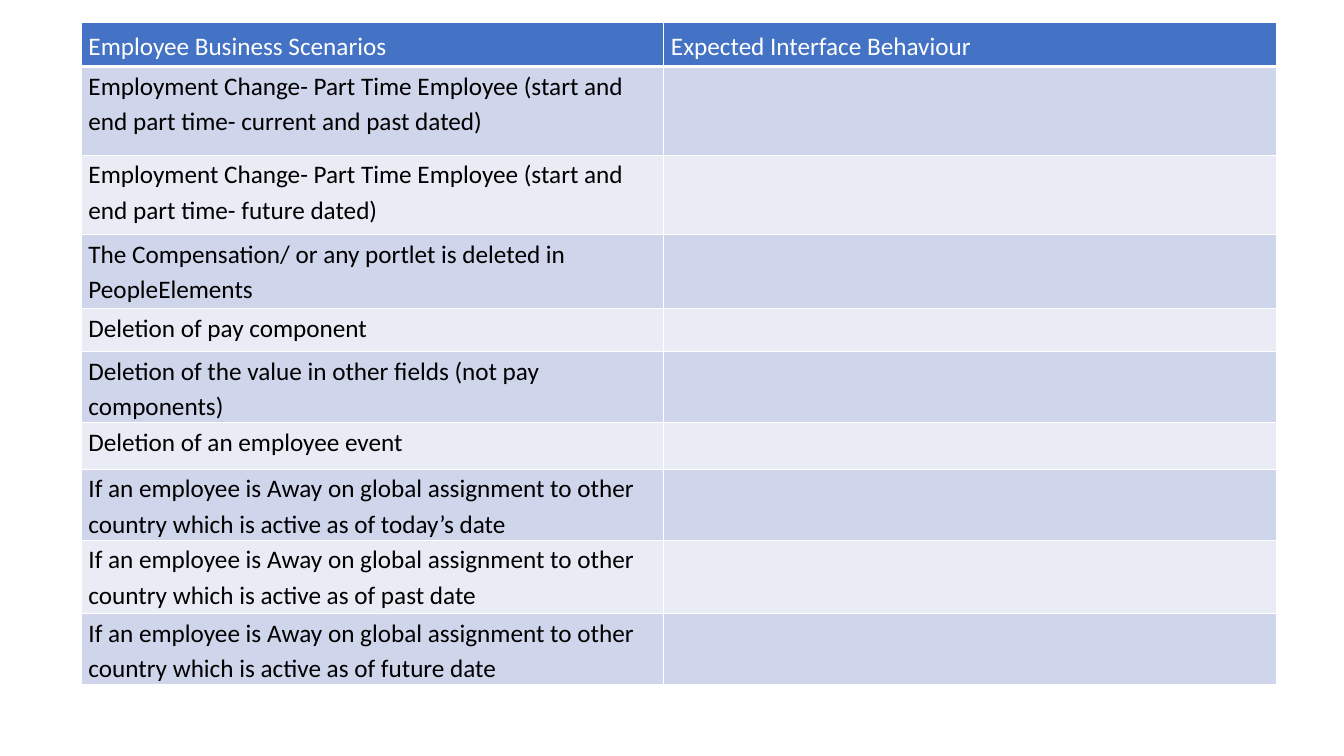
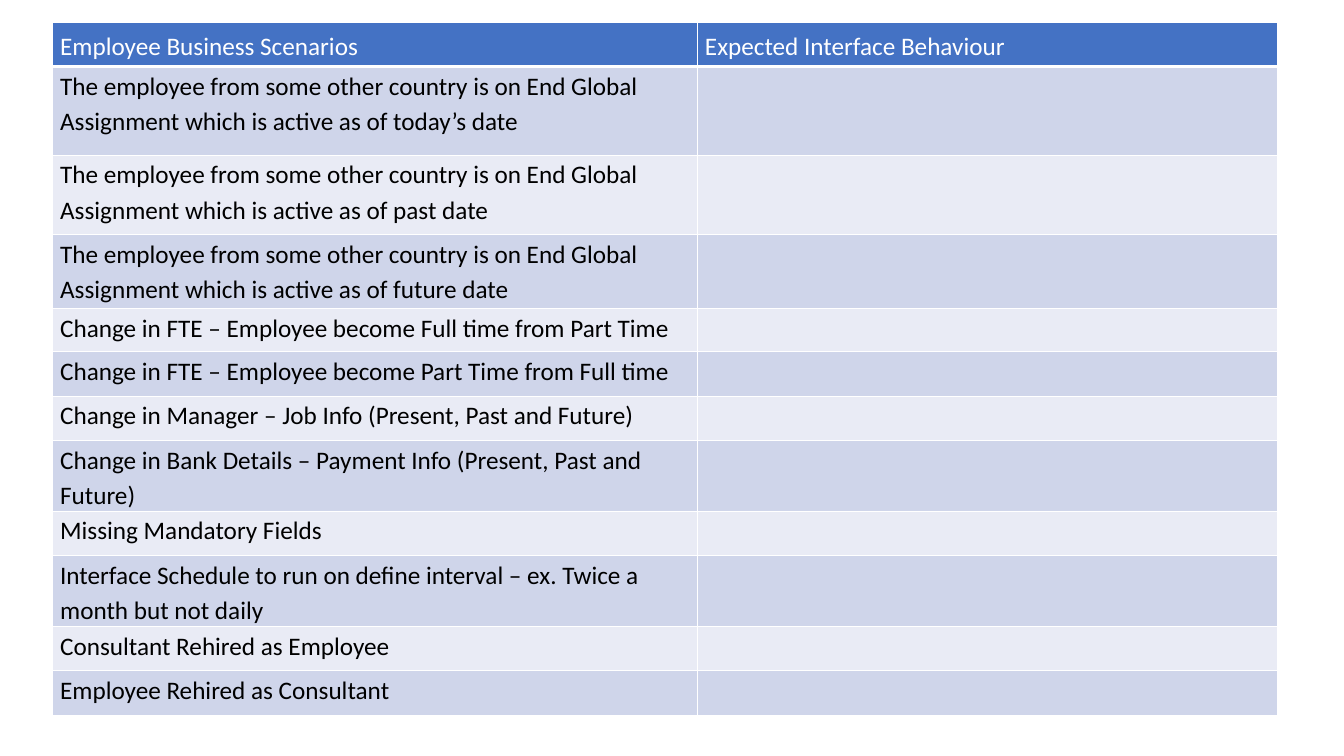
import pptx
import pptx.dml.color
import pptx.enum.text
import pptx.oxml
import pptx.oxml.ns
import pptx.util
from lxml import etree

Pt = pptx.util.Pt
RGBColor = pptx.dml.color.RGBColor

# Shared style
FONT = "Calibri"
TEXT_SIZE = Pt(18)
WHITE = RGBColor(0xFF, 0xFF, 0xFF)
BLACK = RGBColor(0x00, 0x00, 0x00)
HEADER_BLUE = RGBColor(0x44, 0x72, 0xC4)
BANDS = (RGBColor(0xCF, 0xD5, 0xEA), RGBColor(0xE9, 0xEB, 0xF5))
HEADINGS = ("Employee Business Scenarios", "Expected Interface Behaviour")
TABLE_TOP = 15.8

# Row heights in points
HEADER_HEIGHT = 31.7
ONE_LINE = 31.7
TWO_LINES = 50.5
OPENING_HEIGHTS = (63.4, 56.9, 52.6, 31)  # first four scenarios of each table

# Scenarios; those after the fourth carry their own row height
CHANGES_AND_DELETIONS = [
    "Employment Change- Part Time Employee (start and end part time- current and past dated)",
    "Employment Change- Part Time Employee (start and end part time- future dated)",
    "The Compensation/ or any portlet is deleted in PeopleElements",
    "Deletion of pay component",
    ("Deletion of the value in other fields (not pay components)", TWO_LINES),
    ("Deletion of an employee event", 33.4),
    ("If an employee is Away on global assignment to other country "
     "which is active as of today’s date", TWO_LINES),
    ("If an employee is Away on global assignment to other country "
     "which is active as of past date", 52.6),
    ("If an employee is Away on global assignment to other country "
     "which is active as of future date", TWO_LINES),
]
ASSIGNMENTS_AND_REHIRES = [
    "The employee from some other country is on End Global Assignment "
    "which is active as of today’s date",
    "The employee from some other country is on End Global Assignment "
    "which is active as of past date",
    "The employee from some other country is on End Global Assignment "
    "which is active as of future date",
    "Change in FTE – Employee become Full time from Part Time",
    ("Change in FTE – Employee become Part Time from Full time", ONE_LINE),
    ("Change in Manager – Job Info (Present, Past and Future)", ONE_LINE),
    ("Change in Bank Details – Payment Info (Present, Past and Future)", TWO_LINES),
    ("Missing Mandatory Fields", ONE_LINE),
    ("Interface Schedule to run on define interval – ex. Twice a month but not daily",
     TWO_LINES),
    ("Consultant Rehired as Employee", ONE_LINE),
    ("Employee Rehired as Consultant", ONE_LINE),
]


def style_cell(cell, fill, bottom_width=1):
    """Give a cell its white borders and its fill."""
    properties = cell._tc.get_or_add_tcPr()
    for side, width in (("L", 1), ("R", 1), ("T", 1), ("B", bottom_width)):
        line = etree.SubElement(properties, pptx.oxml.ns.qn(f"a:ln{side}"), w=str(Pt(width)))
        solid = etree.SubElement(line, pptx.oxml.ns.qn("a:solidFill"))
        etree.SubElement(solid, pptx.oxml.ns.qn("a:srgbClr"), val=str(WHITE))
    cell.fill.solid()
    cell.fill.fore_color.rgb = fill


def write_cell(cell, text, color, align, anchor):
    cell.margin_left = cell.margin_right = Pt(5.4)
    cell.margin_top = cell.margin_bottom = 0
    cell.vertical_anchor = anchor
    paragraph = cell.text_frame.paragraphs[0]
    paragraph.alignment = align
    paragraph.line_spacing = 1.15
    paragraph.space_after = Pt(10)
    run = paragraph.add_run()
    run.text = text
    run.font.name = FONT
    run.font.size = TEXT_SIZE
    run.font.bold = False
    run.font.color.rgb = color


def add_scenario_table(slide, left, top, column_widths, scenarios):
    """Place a header row and one banded row per scenario."""
    opening = list(zip(scenarios, OPENING_HEIGHTS))
    rows = opening + scenarios[len(opening):]
    heights = [HEADER_HEIGHT] + [height for _, height in rows]
    table = slide.shapes.add_table(
        len(heights), len(column_widths), Pt(left), Pt(top),
        Pt(sum(column_widths)), Pt(sum(heights))).table
    for column, width in zip(table.columns, column_widths):
        column.width = Pt(width)
    for row, height in zip(table.rows, heights):
        row.height = Pt(height)

    # Header
    for cell, heading in zip(table.rows[0].cells, HEADINGS):
        style_cell(cell, HEADER_BLUE, bottom_width=3)
        write_cell(cell, heading, WHITE, pptx.enum.text.PP_ALIGN.JUSTIFY,
                   pptx.enum.text.MSO_ANCHOR.MIDDLE)

    # Scenarios, with the behaviour column left open
    for index, (scenario, _) in enumerate(rows):
        cells = list(table.rows[index + 1].cells)
        for cell in cells:
            style_cell(cell, BANDS[index % 2])
        write_cell(cells[0], scenario, BLACK, pptx.enum.text.PP_ALIGN.LEFT,
                   pptx.enum.text.MSO_ANCHOR.TOP)


def main():
    deck = pptx.Presentation()
    deck.slide_width, deck.slide_height = Pt(960), Pt(540)
    blank = deck.slide_layouts[6]
    for left, column_widths, scenarios in (
        (57.8, (416.1, 438.3), CHANGES_AND_DELETIONS),
        (37.6, (460.6, 414.2), ASSIGNMENTS_AND_REHIRES),
    ):
        add_scenario_table(deck.slides.add_slide(blank), left, TABLE_TOP,
                           column_widths, scenarios)
    deck.save("out.pptx")


if __name__ == "__main__":
    main()
